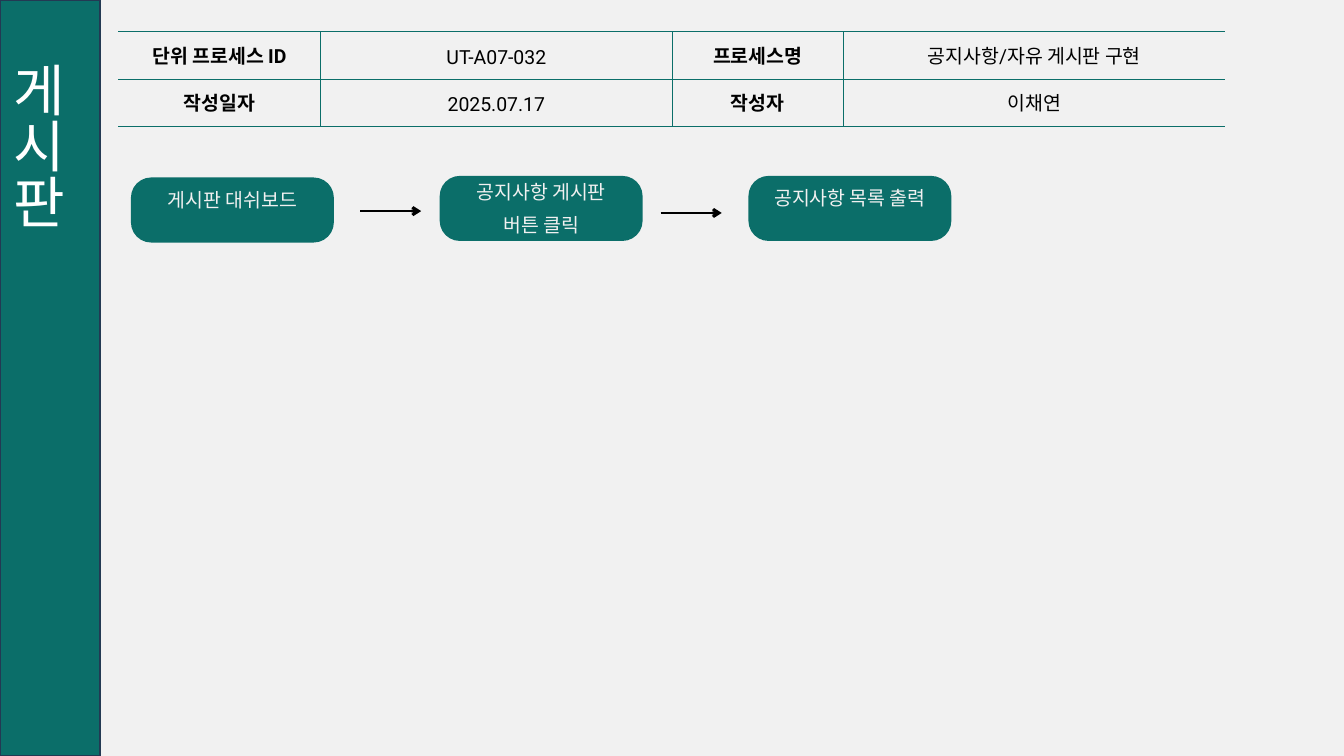
from dataclasses import dataclass

import lxml.etree
import pptx
import pptx.dml.color
import pptx.enum.dml
import pptx.enum.shapes
import pptx.enum.text
import pptx.oxml.ns
import pptx.util

Cm = pptx.util.Cm
Pt = pptx.util.Pt
ALIGN = pptx.enum.text.PP_ALIGN
ANCHOR = pptx.enum.text.MSO_ANCHOR
SHAPE = pptx.enum.shapes.MSO_SHAPE

TEAL = "0B6E69"
PALE = "F1F1F1"
BLACK = "000000"
BODY_SIZE = 20.8

STEP_LEFT, STEP_PITCH = 4.95, 11.67
STEP_WIDTH, STEP_HEIGHT = 7.67, 2.46
LABEL_RISE, LABEL_HEIGHT = 1.12, 3.56
ARROW_LENGTH = 2.31

COLUMN_WIDTHS = (7.65, 13.28, 6.48, 14.43)
ROW_HEIGHT = 1.8
HEADER_ROWS = (
    ("단위 프로세스 ID", "UT-A07-032", "프로세스명", "공지사항/자유 게시판 구현"),
    ("작성일자", "2025.07.17", "작성자", "이채연"),
)


@dataclass
class Step:
    lines: tuple[str, ...]
    top: float
    anchor: ANCHOR = ANCHOR.MIDDLE


@dataclass
class Arrow:
    left: float
    y: float


STEPS = (
    Step(("게시판 대쉬보드",), 6.71),
    Step(("공지사항 게시판", "버튼 클릭"), 6.65, ANCHOR.BOTTOM),
    Step(("공지사항 목록 출력",), 6.65),
)
ARROWS = (Arrow(13.61, 7.98), Arrow(24.97, 8.05))


def rgb(value: str) -> pptx.dml.color.RGBColor:
    return pptx.dml.color.RGBColor.from_string(value)


def add_element(parent, tag: str, **attributes: str):
    element = lxml.etree.SubElement(parent, pptx.oxml.ns.qn(tag))
    for name, value in attributes.items():
        element.set(name, value)
    return element


def style_paragraph(para, color: str, spacing: float, bold: bool = False) -> None:
    para.alignment = ALIGN.CENTER
    para.line_spacing = Pt(spacing)
    para.font.name = "Roboto"
    para.font.size = Pt(BODY_SIZE)
    para.font.bold = bold
    para.font.color.rgb = rgb(color)


def set_margins(target, margin: float) -> None:
    target.margin_left = target.margin_right = Cm(margin)
    target.margin_top = target.margin_bottom = Cm(margin)


def set_borders(cell, hidden: str) -> None:
    properties = cell._tc.get_or_add_tcPr()
    for side in "LRTB":
        border = add_element(properties, f"a:ln{side}", w=str(Pt(0.75)))
        if side == hidden:
            add_element(border, "a:noFill")
        else:
            fill = add_element(border, "a:solidFill")
            add_element(fill, "a:srgbClr", val=TEAL)


def add_header_table(page) -> None:
    table = page.shapes.add_table(
        len(HEADER_ROWS), len(COLUMN_WIDTHS), Cm(4.47), Cm(1.19),
        Cm(sum(COLUMN_WIDTHS)), Cm(ROW_HEIGHT * len(HEADER_ROWS)),
    ).table
    table.first_row = False
    table.horz_banding = False
    for column, width in zip(table.columns, COLUMN_WIDTHS):
        column.width = Cm(width)
    hidden_sides = {0: "L", len(COLUMN_WIDTHS) - 1: "R"}
    for row_index, texts in enumerate(HEADER_ROWS):
        table.rows[row_index].height = Cm(ROW_HEIGHT)
        for column_index, text in enumerate(texts):
            cell = table.cell(row_index, column_index)
            cell.text = text
            cell.vertical_anchor = ANCHOR.MIDDLE
            set_margins(cell, 0.03)
            set_borders(cell, hidden_sides.get(column_index, ""))
            cell.fill.background()
            para = cell.text_frame.paragraphs[0]
            style_paragraph(para, BLACK, 29.2, bold=column_index % 2 == 0)


def add_step(page, step: Step, left: float) -> None:
    pill = page.shapes.add_shape(
        SHAPE.ROUNDED_RECTANGLE, Cm(left), Cm(step.top), Cm(STEP_WIDTH), Cm(STEP_HEIGHT)
    )
    pill.adjustments[0] = 0.31
    pill.shadow.inherit = False
    pill.fill.solid()
    pill.fill.fore_color.rgb = rgb(TEAL)
    pill.line.fill.background()

    label = page.shapes.add_textbox(
        Cm(left), Cm(step.top - LABEL_RISE), Cm(STEP_WIDTH), Cm(LABEL_HEIGHT)
    )
    frame = label.text_frame
    frame.word_wrap = True
    frame.vertical_anchor = step.anchor
    set_margins(frame, 0.15)
    frame.text = "\n".join(step.lines)
    for para in frame.paragraphs:
        style_paragraph(para, PALE, 35.2)


def add_arrow(page, arrow: Arrow) -> None:
    connector = page.shapes.add_connector(
        pptx.enum.shapes.MSO_CONNECTOR.STRAIGHT,
        Cm(arrow.left), Cm(arrow.y), Cm(arrow.left + ARROW_LENGTH), Cm(arrow.y),
    )
    connector.line.color.rgb = rgb(BLACK)
    connector.line.width = Pt(3)
    add_element(connector.line._get_or_add_ln(), "a:tailEnd", type="arrow")
    add_element(connector._element.spPr, "a:effectLst")


def add_sidebar(page, height: int) -> None:
    bar = page.shapes.add_shape(SHAPE.RECTANGLE, 0, 0, Cm(3.78), height)
    bar.shadow.inherit = False
    bar.fill.solid()
    bar.fill.fore_color.rgb = rgb(TEAL)
    bar.line.color.rgb = rgb("233953")
    bar.line.width = Pt(2)
    frame = bar.text_frame
    frame.vertical_anchor = ANCHOR.BOTTOM
    frame._txBody.bodyPr.set("vert", "eaVert")
    frame.text = "게시판"
    para = frame.paragraphs[0]
    para.alignment = ALIGN.JUSTIFY
    para._p.get_or_add_pPr().set("marL", str(Pt(60)))
    para.font.name = "Calibri"
    para.font.size = Pt(60)
    para.font.color.rgb = rgb("FFFFFF")


def main() -> None:
    deck = pptx.Presentation()
    deck.slide_width = Cm(50.8)
    deck.slide_height = Cm(28.58)
    page = deck.slides.add_slide(deck.slide_layouts[6])
    page.background.fill.solid()
    page.background.fill.fore_color.rgb = rgb(PALE)

    add_header_table(page)
    for index, step in enumerate(STEPS):
        add_step(page, step, STEP_LEFT + index * STEP_PITCH)
    for arrow in ARROWS:
        add_arrow(page, arrow)
    add_sidebar(page, deck.slide_height)
    deck.save("out.pptx")


if __name__ == "__main__":
    main()
